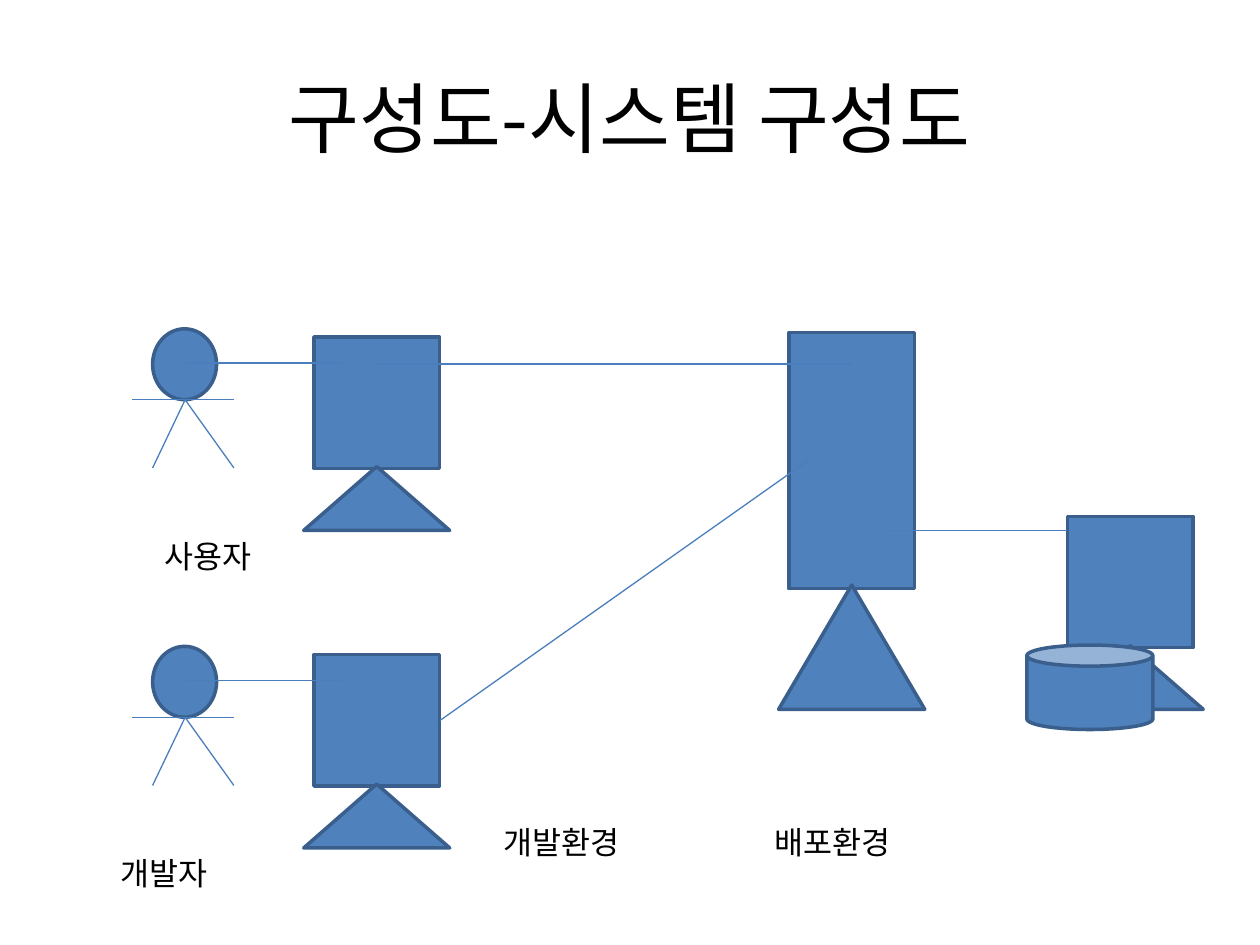
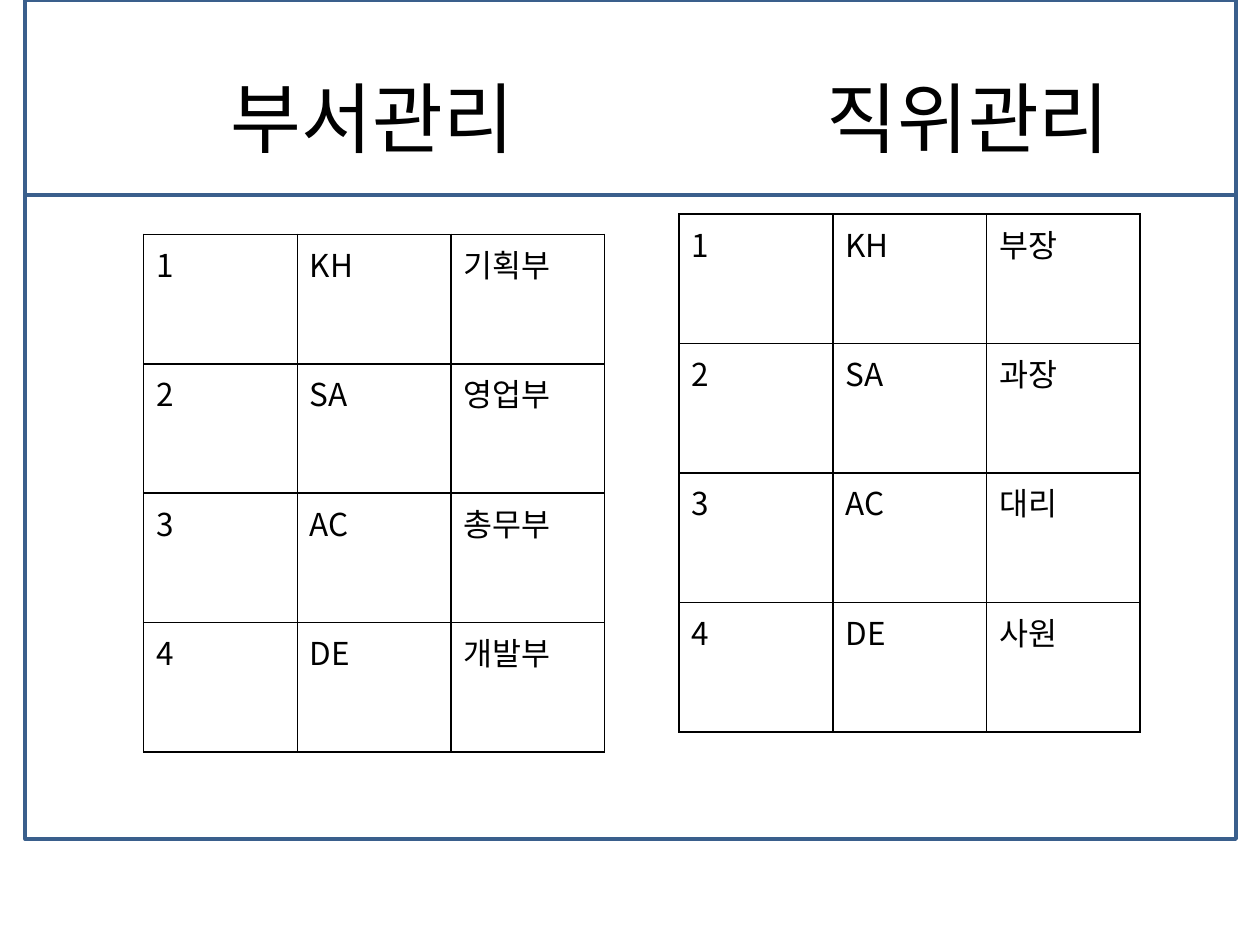
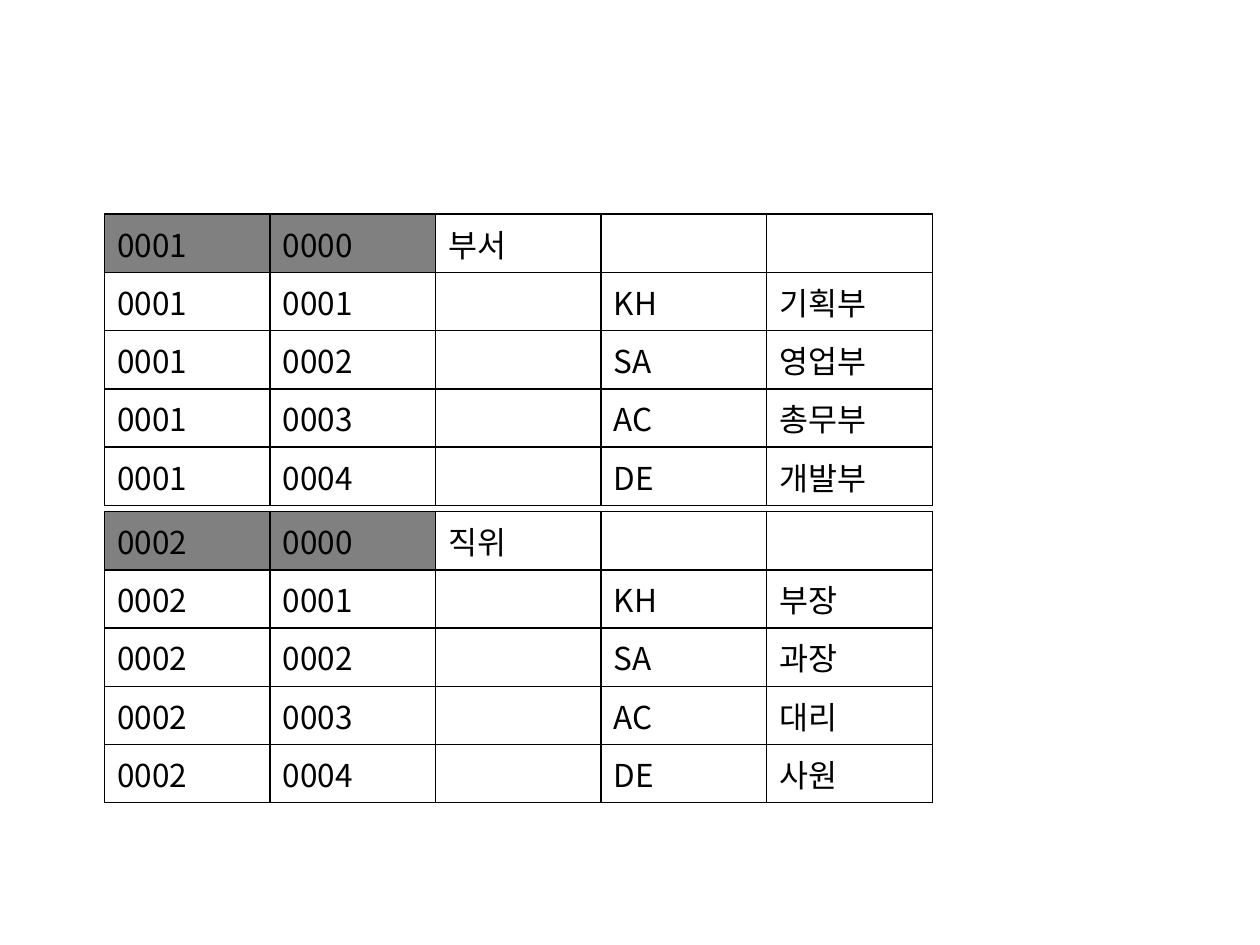
from dataclasses import dataclass

from lxml import etree
from pptx import Presentation
from pptx.dml.color import RGBColor
from pptx.enum.shapes import MSO_CONNECTOR, MSO_SHAPE
from pptx.enum.text import MSO_ANCHOR, MSO_AUTO_SIZE, PP_ALIGN
from pptx.oxml.ns import qn
from pptx.util import Inches, Pt

RECT, TRIANGLE = MSO_SHAPE.RECTANGLE, MSO_SHAPE.ISOSCELES_TRIANGLE
OVAL, CAN = MSO_SHAPE.OVAL, MSO_SHAPE.CAN
STRAIGHT = MSO_CONNECTOR.STRAIGHT
MIDDLE, CENTER, GROW = MSO_ANCHOR.MIDDLE, PP_ALIGN.CENTER, MSO_AUTO_SIZE.SHAPE_TO_FIT_TEXT


@dataclass(frozen=True)
class Theme:
    """Colours, type sizes and line widths shared by the slides."""
    font: str = "Noto Sans CJK KR"
    ink: str = "000000"
    fill: str = "4F81BD"
    outline: str = "3A5F8C"
    link: str = "4B7EBC"
    key: str = "808080"
    title: int = 44
    body: int = 18
    outline_width: float = 2
    link_width: float = 0.75
    border_width: float = 1


@dataclass(frozen=True)
class Box:
    """A rectangle in inches that can be divided."""
    x: float
    y: float
    w: float
    h: float

    def share(self, x, y, w, h):
        """Return the box at the given shares of this one."""
        return Box(self.x + x * self.w, self.y + y * self.h, w * self.w, h * self.h)

    def cells(self, col, row, cols, rows):
        """Return the box at the given cells of the slide grid."""
        return self.share(col / COLS, row / ROWS, cols / COLS, rows / ROWS)

    def emu(self):
        """Return left, top, width and height as lengths."""
        return [Inches(v) for v in (self.x, self.y, self.w, self.h)]


COLS, ROWS = 10, 7.5
SLIDE = Box(0, 0, 10, 7.5)
THEME = Theme()
CODES = ("KH", "SA", "AC", "DE")
DEPARTMENTS = ("기획부", "영업부", "총무부", "개발부")
POSITIONS = ("부장", "과장", "대리", "사원")


def color(value):
    """Return a colour from its hex value."""
    return RGBColor.from_string(value)


def style_text(tf, size):
    """Format every run of a text frame."""
    for p in tf.paragraphs:
        for r in p.runs:
            r.font.size = Pt(size)
            r.font.name = THEME.font
            r.font.color.rgb = color(THEME.ink)
            ea = etree.SubElement(r.font._element, qn("a:ea"))
            ea.set("typeface", THEME.font)


def add_title(s, box, text):
    """Place a large centred heading."""
    tf = s.shapes.add_textbox(*box.emu()).text_frame
    tf.word_wrap = True
    tf.vertical_anchor = MIDDLE
    tf.text = text
    tf.paragraphs[0].alignment = CENTER
    style_text(tf, THEME.title)


def add_label(s, box, text):
    """Place a one-line caption."""
    tf = s.shapes.add_textbox(*box.emu()).text_frame
    tf.word_wrap = False
    tf.auto_size = GROW
    tf.text = text
    style_text(tf, THEME.body)


def add_figure(shapes, kind, box, fill=THEME.fill):
    """Place an outlined shape, hollow when it has no fill."""
    sp = shapes.add_shape(kind, *box.emu())
    sp.shadow.inherit = False
    if fill:
        sp.fill.solid()
        sp.fill.fore_color.rgb = color(fill)
    else:
        sp.fill.background()
    sp.line.color.rgb = color(THEME.outline)
    sp.line.width = Pt(THEME.outline_width)


def add_link(shapes, box, x1, y1, x2, y2):
    """Draw a thin line between two points given as shares of a box."""
    start, end = box.share(x1, y1, 0, 0), box.share(x2, y2, 0, 0)
    line = shapes.add_connector(STRAIGHT, *start.emu()[:2], *end.emu()[:2])
    line.line.color.rgb = color(THEME.link)
    line.line.width = Pt(THEME.link_width)
    etree.SubElement(line._element.spPr, qn("a:effectLst"))


def add_person(s, box):
    """Draw a stick person."""
    shapes = s.shapes.add_group_shape().shapes
    add_figure(shapes, OVAL, box.share(0.2, 0, 0.63, 0.51))
    for points in ((0, 0.51, 1, 0.51), (0.52, 0.51, 0.2, 1), (0.52, 0.51, 1, 1)):
        add_link(shapes, box, *points)


def add_computer(s, box):
    """Draw a screen or tower on a triangular stand."""
    shapes = s.shapes.add_group_shape().shapes
    add_figure(shapes, RECT, box.share(0.07, 0, 0.86, 0.68))
    add_figure(shapes, TRIANGLE, box.share(0, 0.67, 1, 0.33))


def add_workstation(s, box):
    """Draw a person linked to a computer."""
    add_person(s, box.share(0, 0, 0.32, 0.69))
    add_computer(s, box.share(0.54, 0.04, 0.46, 0.96))
    add_link(s.shapes, box, 0.17, 0.17, 0.66, 0.17)


def add_borders(cell):
    """Draw a solid border on each side of a cell."""
    tc_pr = cell._tc.get_or_add_tcPr()
    for i, side in enumerate(("lnL", "lnR", "lnT", "lnB")):
        ln = etree.Element(qn(f"a:{side}"), w=str(Pt(THEME.border_width)))
        fill = etree.SubElement(ln, qn("a:solidFill"))
        etree.SubElement(fill, qn("a:srgbClr"), val=THEME.ink)
        tc_pr.insert(i, ln)


def add_grid(s, box, rows, keys=0):
    """Place a ruled table and shade the first cells of its top row."""
    table = s.shapes.add_table(len(rows), len(rows[0]), *box.emu()).table
    table.first_row = table.horz_banding = False
    for i, row in enumerate(rows):
        for j, text in enumerate(row):
            cell = table.cell(i, j)
            if i == 0 and j < keys:
                cell.fill.solid()
                cell.fill.fore_color.rgb = color(THEME.key)
            else:
                cell.fill.background()
            cell.text = text
            style_text(cell.text_frame, THEME.body)
            add_borders(cell)


def list_rows(names):
    """Return numbered rows of code and name."""
    return [(str(i), code, name) for i, (code, name) in enumerate(zip(CODES, names), 1)]


def code_rows(group, heading, names):
    """Return a heading row and the coded rows below it."""
    rows = [(group, "0000", heading, "", "")]
    return rows + [(group, n.zfill(4), "", code, name) for n, code, name in list_rows(names)]


def build_system(s, box):
    """Build the system diagram."""
    add_title(s, box.cells(0.5, 0.3, 9, 1.25), "구성도-시스템 구성도")
    add_computer(s, box.cells(6.18, 2.64, 1.16, 2.99))
    for row in (2.61, 5.13):
        add_workstation(s, box.cells(1.05, row, 2.52, 1.6))
    add_computer(s, box.cells(8.39, 4.1, 1.16, 1.53))
    for x1, y1, x2, y2 in ((2.99, 2.89, 6.76, 2.89), (7.05, 4.21, 8.47, 4.21),
                           (3.49, 5.72, 6.42, 3.65)):
        add_link(s.shapes, box, x1 / COLS, y1 / ROWS, x2 / COLS, y2 / ROWS)
    add_figure(s.shapes, CAN, box.cells(8.15, 5.12, 1, 0.67))
    for col, row, width, text in ((1.21, 4.21, 0.96, "사용자"), (0.86, 6.73, 0.96, "개발자"),
                                  (3.9, 6.48, 1.21, "개발환경"), (6.05, 6.48, 1.21, "배포환경")):
        add_label(s, box.cells(col, row, width, 0.4), text)


def build_lists(s, box):
    """Build the framed department and position lists."""
    for title_col, col, row, title, names in (
            (5.87, 5.39, 1.7, "직위관리", POSITIONS), (1.14, 1.14, 1.86, "부서관리", DEPARTMENTS)):
        add_title(s, box.cells(title_col, 0.3, 3.63, 1.25), title)
        add_grid(s, box.cells(col, row, 3.66, 4.11), list_rows(names))
    for row, rows in ((0, 1.55), (1.55, 5.11)):
        add_figure(s.shapes, RECT, box.cells(0.2, row, 9.61, rows), fill=None)


def build_codes(s, box):
    """Build the two code tables."""
    for row, group, heading, names in (
            (1.7, "0001", "부서", DEPARTMENTS), (4.06, "0002", "직위", POSITIONS)):
        add_grid(s, box.cells(0.83, row, 6.57, 2.07), code_rows(group, heading, names), keys=2)


def main():
    """Build and save the presentation."""
    prs = Presentation()
    prs.slide_width, prs.slide_height = SLIDE.emu()[2:]
    for build in (build_system, build_lists, build_codes):
        build(prs.slides.add_slide(prs.slide_layouts[6]), SLIDE)
    prs.save("out.pptx")


main()
